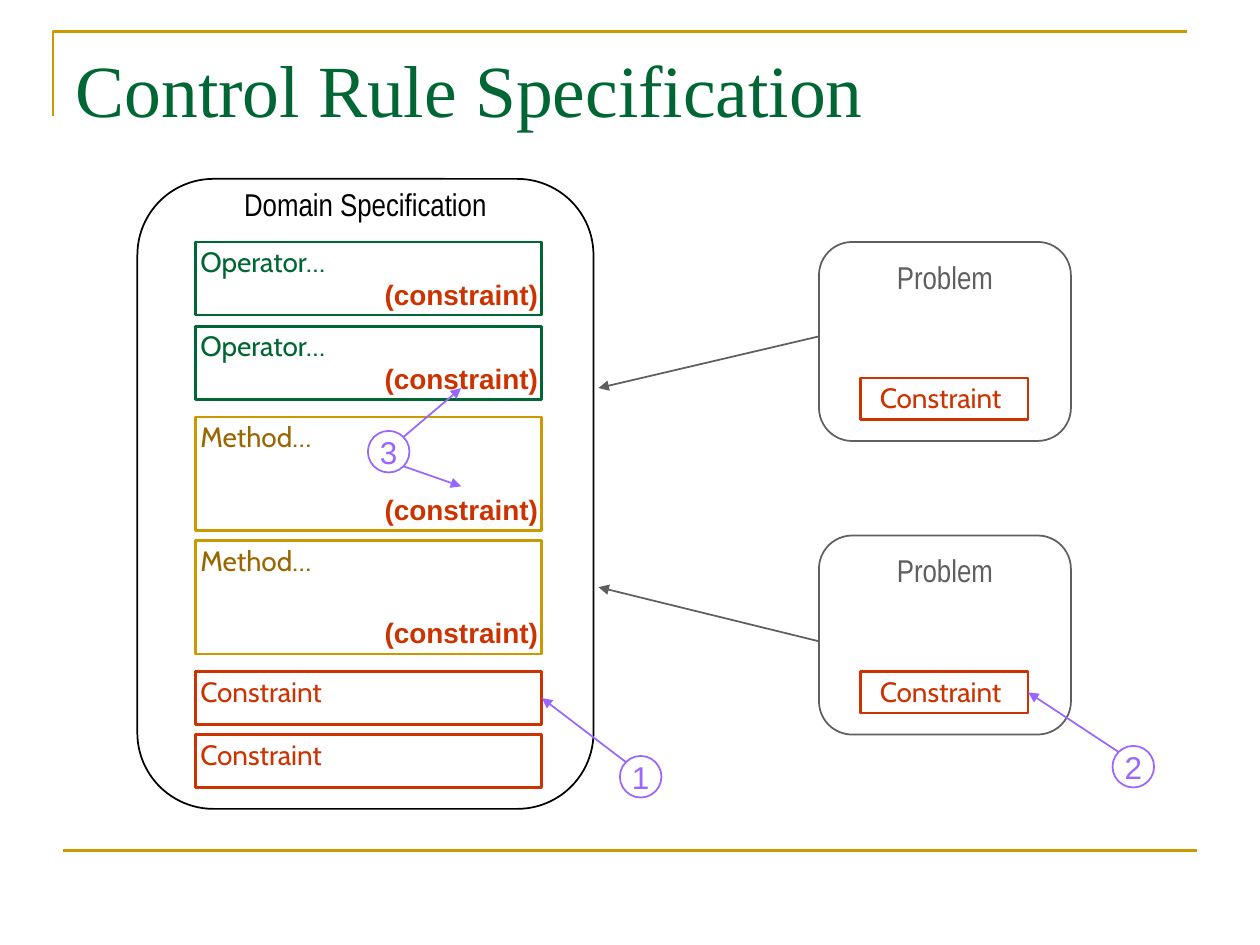
from lxml.etree import SubElement
from pptx import Presentation
from pptx.dml.color import RGBColor
from pptx.enum.shapes import MSO_CONNECTOR, MSO_SHAPE
from pptx.enum.text import MSO_ANCHOR, PP_ALIGN
from pptx.oxml.ns import qn
from pptx.util import Inches, Pt

COLORS = {
    "white": "FFFFFF", "black": "000000", "green": "006633",
    "gold": "CC9900", "brown": "996600", "red": "CC3300",
    "gray": "5F5F5F", "purple": "9966FF",
}
WIDE_INSETS = (0.1, 0.05, 0.1, 0.05)
BOX_INSETS = (0.04, 0.02, 0.1, 0.05)
RIGHT_SIDE = 3


def rgb(color):
    return RGBColor.from_string(COLORS[color])


def write(shape, text, size, font, color, align=PP_ALIGN.LEFT, bold=False,
          insets=WIDE_INSETS, anchor=MSO_ANCHOR.TOP, wrap=False):
    frame = shape.text_frame
    frame.word_wrap = wrap
    frame.vertical_anchor = anchor
    (frame.margin_left, frame.margin_top,
     frame.margin_right, frame.margin_bottom) = map(Inches, insets)
    paragraph = frame.paragraphs[0]
    paragraph.text = text
    paragraph.alignment = align
    paragraph.font.size = Pt(size)
    paragraph.font.name = font
    paragraph.font.bold = bold
    paragraph.font.color.rgb = rgb(color)


def add_label(slide, bounds, text, **text_format):
    label = slide.shapes.add_textbox(*map(Inches, bounds))
    write(label, text, **text_format)


def add_outlined(slide, kind, bounds, color, weight):
    outlined = slide.shapes.add_shape(kind, *map(Inches, bounds))
    outlined.shadow.inherit = False
    outlined.fill.solid()
    outlined.fill.fore_color.rgb = rgb("white")
    outlined.line.color.rgb = rgb(color)
    outlined.line.width = Pt(weight)
    return outlined


def add_box(slide, bounds, text, line, color, align=PP_ALIGN.LEFT):
    box = add_outlined(slide, MSO_SHAPE.RECTANGLE, bounds, line, 1.5)
    write(box, text, size=16, font="Cabin", color=color, align=align, insets=BOX_INSETS)
    return box


def add_line(slide, start, end, color, weight=1, arrow=True, target=None):
    connector = slide.shapes.add_connector(
        MSO_CONNECTOR.STRAIGHT, *map(Inches, (*start, *end)))
    if target is not None:
        connector.end_connect(target, RIGHT_SIDE)
    connector.line.color.rgb = rgb(color)
    connector.line.width = Pt(weight)
    properties = connector._element.spPr
    if arrow:
        SubElement(properties.find(qn("a:ln")), qn("a:tailEnd"), type="triangle")
    SubElement(properties, qn("a:effectLst"))


def add_page_frame(slide):
    builder = slide.shapes.build_freeform(Inches(0.42), Inches(0.92))
    builder.add_line_segments(
        [(Inches(0.42), Inches(0.25)), (Inches(9.42), Inches(0.25))], close=False)
    corner = builder.convert_to_shape()
    corner.shadow.inherit = False
    corner.fill.background()
    corner.line.color.rgb = rgb("gold")
    corner.line.width = Pt(1.5)
    add_line(slide, (0.5, 6.75), (9.5, 6.75), "gold", 1.5, arrow=False)


def add_title(slide):
    title = slide.shapes.title
    title.left, title.top, title.width, title.height = map(Inches, (0.5, 0.3, 9, 1.25))
    write(title, "Control Rule Specification", size=42,
          font="Times New Roman", color="green", wrap=True)


def add_domain(slide):
    domain = add_outlined(
        slide, MSO_SHAPE.ROUNDED_RECTANGLE, (1.09, 1.42, 3.62, 5), "black", 1)
    domain.adjustments[0] = 0.167
    add_label(slide, (1.75, 1.42, 2.3, 0.4), "Domain Specification",
              size=18, font="Arial Narrow", color="black", align=PP_ALIGN.CENTER)
    for text, top, height, line, color in (
        ("Operator…", 1.92, 0.58, "green", "green"),
        ("Operator…", 2.59, 0.58, "green", "green"),
        ("Method…", 3.31, 0.9, "gold", "brown"),
        ("Method…", 4.29, 0.9, "gold", "brown"),
    ):
        add_box(slide, (1.55, top, 2.75, height), text, line, color)
        add_label(slide, (2.87, top + height - 0.35, 1.5, 0.37), "(constraint)",
                  size=16, font="Arial", color="red", align=PP_ALIGN.RIGHT, bold=True)
    return [add_box(slide, (1.55, top, 2.75, 0.42), "Constraint", "red", "red")
            for top in (5.33, 5.83)]


def add_problem(slide, top):
    problem = add_outlined(
        slide, MSO_SHAPE.ROUNDED_RECTANGLE, (6.5, top, 2, 1.58), "gray", 1)
    problem.adjustments[0] = 0.167
    write(problem, "Problem", size=18, font="Arial Narrow", color="gray",
          align=PP_ALIGN.CENTER)
    return add_box(slide, (6.83, top + 1.08, 1.33, 0.33), "Constraint",
                   "red", "red", PP_ALIGN.CENTER)


def add_marker(slide, number, left, top):
    marker = add_outlined(slide, MSO_SHAPE.OVAL, (left, top, 0.33, 0.33), "purple", 1)
    write(marker, number, size=18, font="Arial", color="purple",
          align=PP_ALIGN.CENTER, anchor=MSO_ANCHOR.MIDDLE)


def main():
    presentation = Presentation()
    presentation.slide_width = Inches(10)
    presentation.slide_height = Inches(7.5)
    slide = presentation.slides.add_slide(presentation.slide_layouts[5])

    add_page_frame(slide)
    add_title(slide)
    domain_constraints = add_domain(slide)
    problem_constraints = [add_problem(slide, top) for top in (1.92, 4.25)]

    add_line(slide, (6.5, 2.67), (4.75, 3.08), "gray")
    add_line(slide, (6.5, 5.09), (4.75, 4.66), "gray")

    for number, left, top in (("1", 4.92, 6), ("2", 8.83, 5.92), ("3", 2.92, 3.42)):
        add_marker(slide, number, left, top)
    add_line(slide, (4.97, 6.05), (4.3, 5.54), "purple", target=domain_constraints[0])
    add_line(slide, (8.88, 5.97), (8.16, 5.5), "purple", target=problem_constraints[1])
    add_line(slide, (3.2, 3.7), (3.66, 3.86), "purple")
    add_line(slide, (3.2, 3.47), (3.66, 3.08), "purple")

    presentation.save("out.pptx")


if __name__ == "__main__":
    main()
